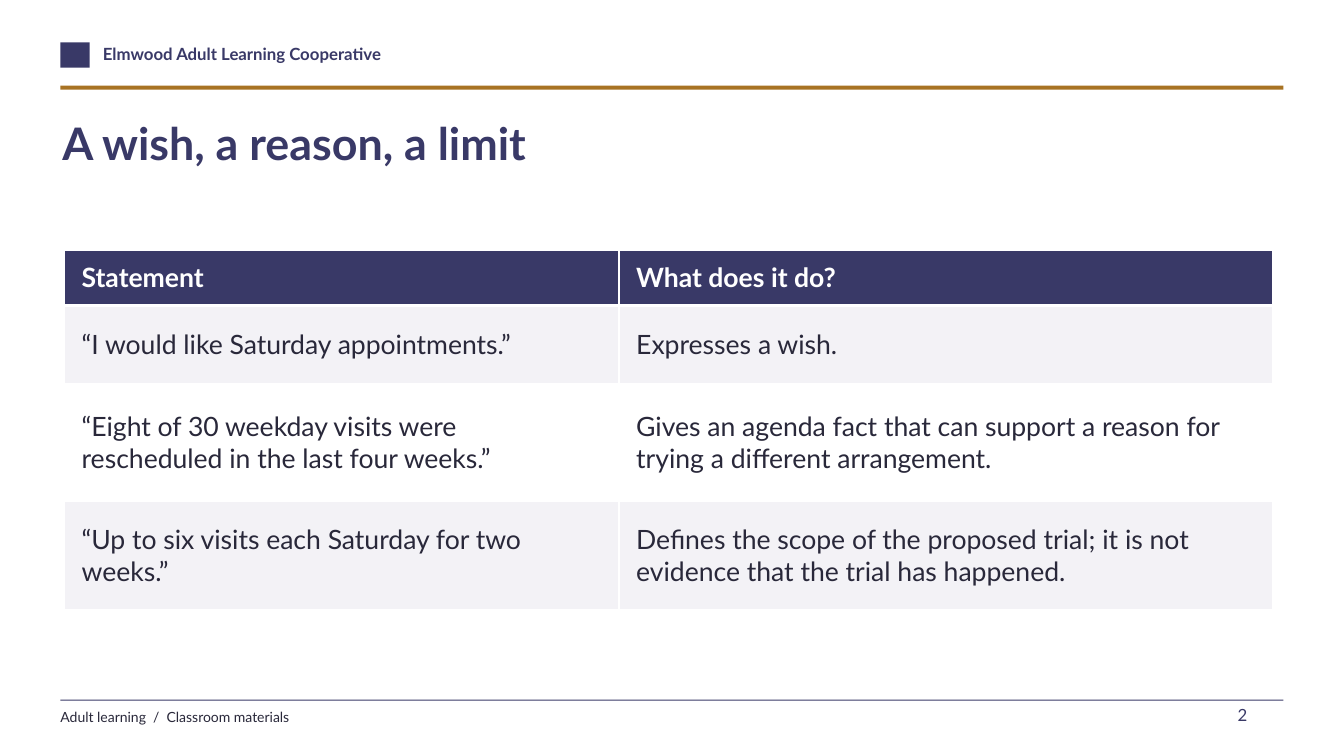
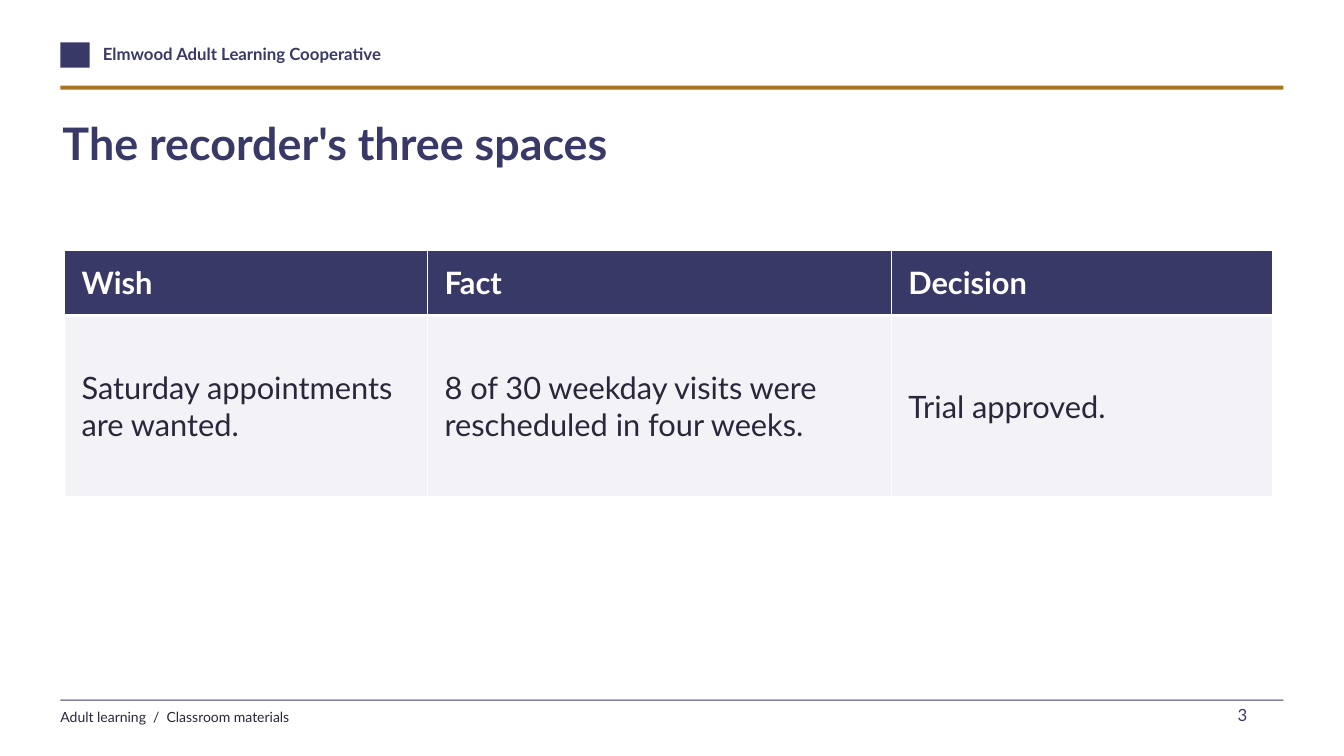
from lxml import etree
from pptx import Presentation
from pptx.dml.color import RGBColor
from pptx.enum.shapes import MSO_SHAPE
from pptx.enum.text import MSO_ANCHOR, PP_ALIGN
from pptx.oxml.ns import qn
from pptx.util import Inches, Pt

RECTANGLE = MSO_SHAPE.RECTANGLE
MIDDLE, TOP = MSO_ANCHOR.MIDDLE, MSO_ANCHOR.TOP
LEFT, RIGHT = PP_ALIGN.LEFT, PP_ALIGN.RIGHT

WIDTH, HEIGHT = 13.33, 7.5
MARGIN = 0.6
CONTENT_WIDTH = WIDTH - 2 * MARGIN
FONT = "Lato"
NAVY, GOLD, INK = "393967", "A87323", "29283A"
PALE, WHITE = "F3F2F6", "FFFFFF"

HEADER_BOX = (MARGIN, 0.42, CONTENT_WIDTH, 0.47)
TITLE_BOX = (0.62, 1.15, 12, 1.05)
TABLE_ORIGIN = (0.64, 2.48)
FOOTER_BOX = (MARGIN, 6.94, CONTENT_WIDTH, 0.32)

SLIDES = [
    {
        "title": "A wish, a reason, a limit",
        "number": 2,
        "size": 19,
        "columns": [5.5, 6.48],
        "heights": [0.55, 0.78, 1.16, 1.08],
        "rows": [
            ["Statement", "What does it do?"],
            ["“I would like Saturday appointments.”", "Expresses a wish."],
            ["“Eight of 30 weekday visits were rescheduled in the last four weeks.”",
             "Gives an agenda fact that can support a reason for trying a different arrangement."],
            ["“Up to six visits each Saturday for two weeks.”",
             "Defines the scope of the proposed trial; it is not evidence that the trial has happened."],
        ],
    },
    {
        "title": "The recorder's three spaces",
        "number": 3,
        "size": 22,
        "columns": [3.6, 4.6, 3.78],
        "heights": [0.65, 1.8],
        "rows": [
            ["Wish", "Fact", "Decision"],
            ["Saturday appointments are wanted.",
             "8 of 30 weekday visits were rescheduled in four weeks.",
             "Trial approved."],
        ],
    },
]


def color(hex_string):
    return RGBColor.from_string(hex_string)


def write_text(frame, text, size=12, fill=INK, bold=False, align=LEFT):
    paragraph = frame.paragraphs[0]
    paragraph.alignment = align
    run = paragraph.add_run()
    run.text = text
    run.font.name = FONT
    run.font.size = Pt(size)
    run.font.bold = bold
    run.font.color.rgb = color(fill)


def add_text(slide, box, text, insets=(0, 0), **text_format):
    shape = slide.shapes.add_textbox(*map(Inches, box))
    frame = shape.text_frame
    frame.word_wrap = True
    frame.vertical_anchor = TOP
    frame.margin_left = frame.margin_right = Inches(insets[0])
    frame.margin_top = frame.margin_bottom = Inches(insets[1])
    write_text(frame, text, **text_format)


def add_block(slide, box, fill):
    shape = slide.shapes.add_shape(RECTANGLE, *map(Inches, box))
    shape.shadow.inherit = False
    shape.fill.solid()
    shape.fill.fore_color.rgb = color(fill)
    shape.line.fill.background()


def set_borders(cell, bottom):
    properties = cell._tc.get_or_add_tcPr()
    for side, width in (("L", 1), ("R", 1), ("T", 1), ("B", bottom)):
        line = etree.SubElement(properties, qn(f"a:ln{side}"), w=str(Pt(width)))
        fill = etree.SubElement(line, qn("a:solidFill"))
        etree.SubElement(fill, qn("a:srgbClr"), val=WHITE)


def add_header(slide, box):
    left, top, width, height = box
    # Plain marker, organisation name and rule
    add_block(slide, (left, top, 0.29, 0.25), NAVY)
    add_text(slide, (left + 0.42, top + 0.01, 6, 0.28),
             "Elmwood Adult Learning Cooperative", fill=NAVY, bold=True)
    add_block(slide, (left, top + height - 0.04, width, 0.04), GOLD)


def add_footer(slide, box, number):
    left, top, width, height = box
    # Rule, course label and page number
    add_block(slide, (left, top, width, 0.01), NAVY)
    add_text(slide, (left, top + 0.09, 7, height - 0.09),
             "Adult learning  /  Classroom materials", size=10)
    add_text(slide, (left + width - 0.68, top, 0.42, 0.28), str(number),
             insets=(0.1, 0.05), fill=NAVY, align=RIGHT)


def add_statement_table(slide, origin, columns, heights, rows, size):
    box = (*origin, sum(columns), sum(heights))
    table = slide.shapes.add_table(len(rows), len(columns), *map(Inches, box)).table
    for column, width in zip(table.columns, columns):
        column.width = Inches(width)
    for row, height in zip(table.rows, heights):
        row.height = Inches(height)
    for row_index, texts in enumerate(rows):
        is_header = row_index == 0
        # Body rows alternate, starting with the pale band
        band = NAVY if is_header else PALE if row_index % 2 else WHITE
        for column_index, text in enumerate(texts):
            cell = table.cell(row_index, column_index)
            set_borders(cell, bottom=3 if is_header else 1)
            cell.fill.solid()
            cell.fill.fore_color.rgb = color(band)
            cell.vertical_anchor = MIDDLE
            cell.margin_left = cell.margin_right = Inches(0.17)
            cell.margin_top = cell.margin_bottom = Inches(0.05)
            write_text(cell.text_frame, text, size=size, bold=is_header,
                       fill=WHITE if is_header else INK)


def add_table_slide(presentation, title, number, **table_content):
    slide = presentation.slides.add_slide(presentation.slide_layouts[6])
    slide.background.fill.solid()
    slide.background.fill.fore_color.rgb = color(WHITE)
    add_header(slide, HEADER_BOX)
    add_text(slide, TITLE_BOX, title, size=32, fill=NAVY, bold=True)
    add_statement_table(slide, TABLE_ORIGIN, **table_content)
    add_footer(slide, FOOTER_BOX, number)


def main():
    presentation = Presentation()
    presentation.slide_width = Inches(WIDTH)
    presentation.slide_height = Inches(HEIGHT)
    for content in SLIDES:
        add_table_slide(presentation, **content)
    presentation.save("out.pptx")


if __name__ == "__main__":
    main()
